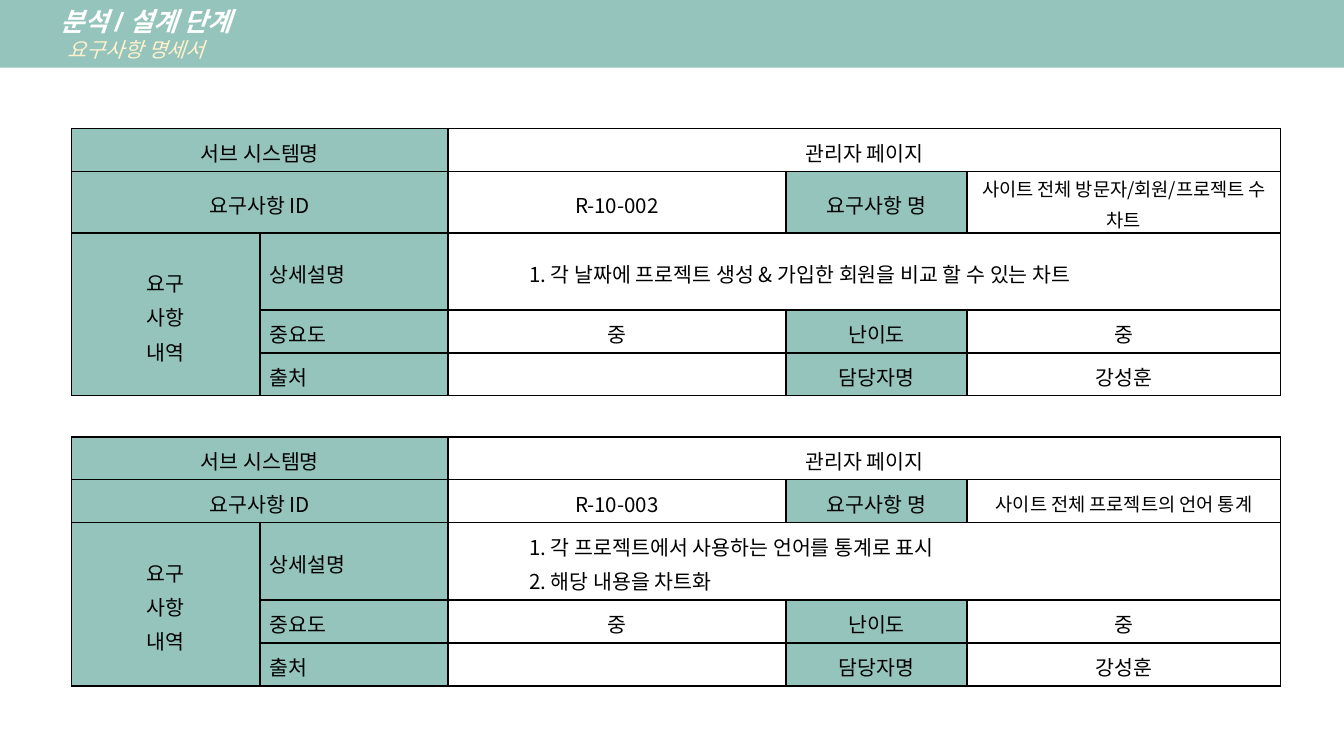
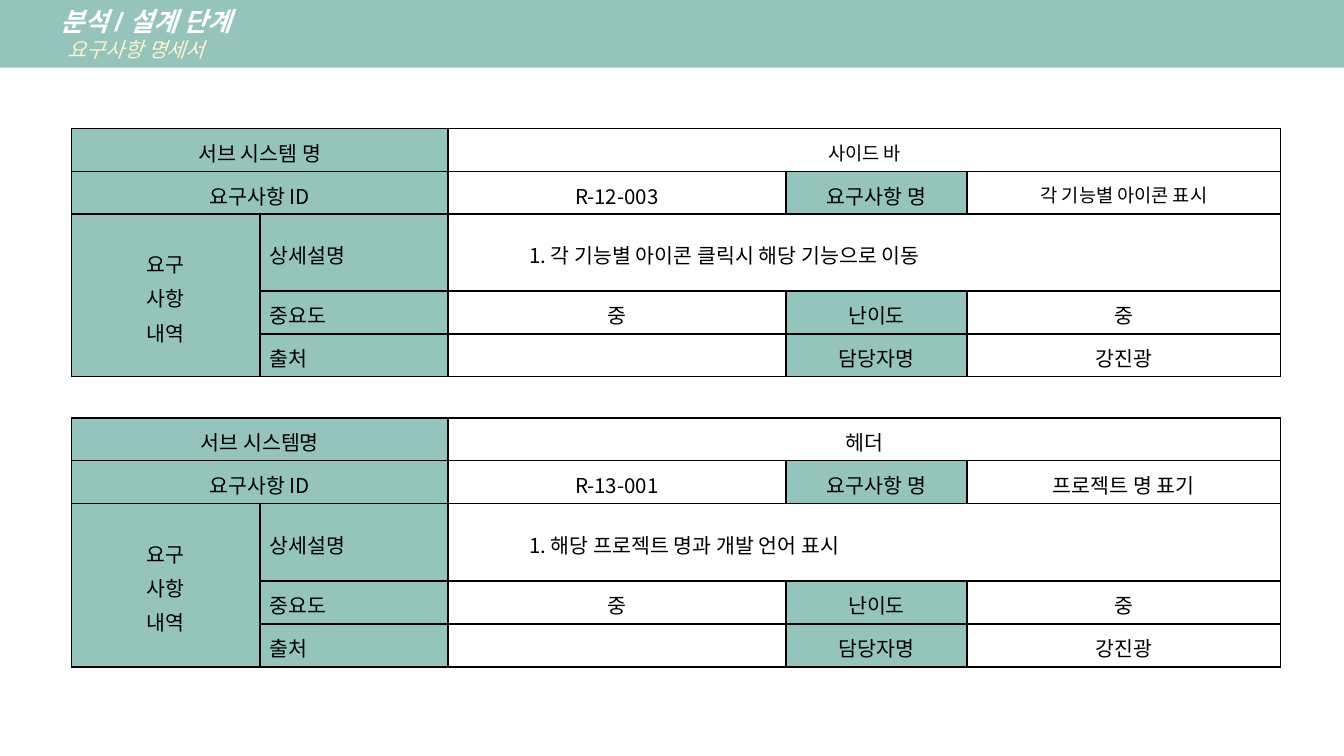
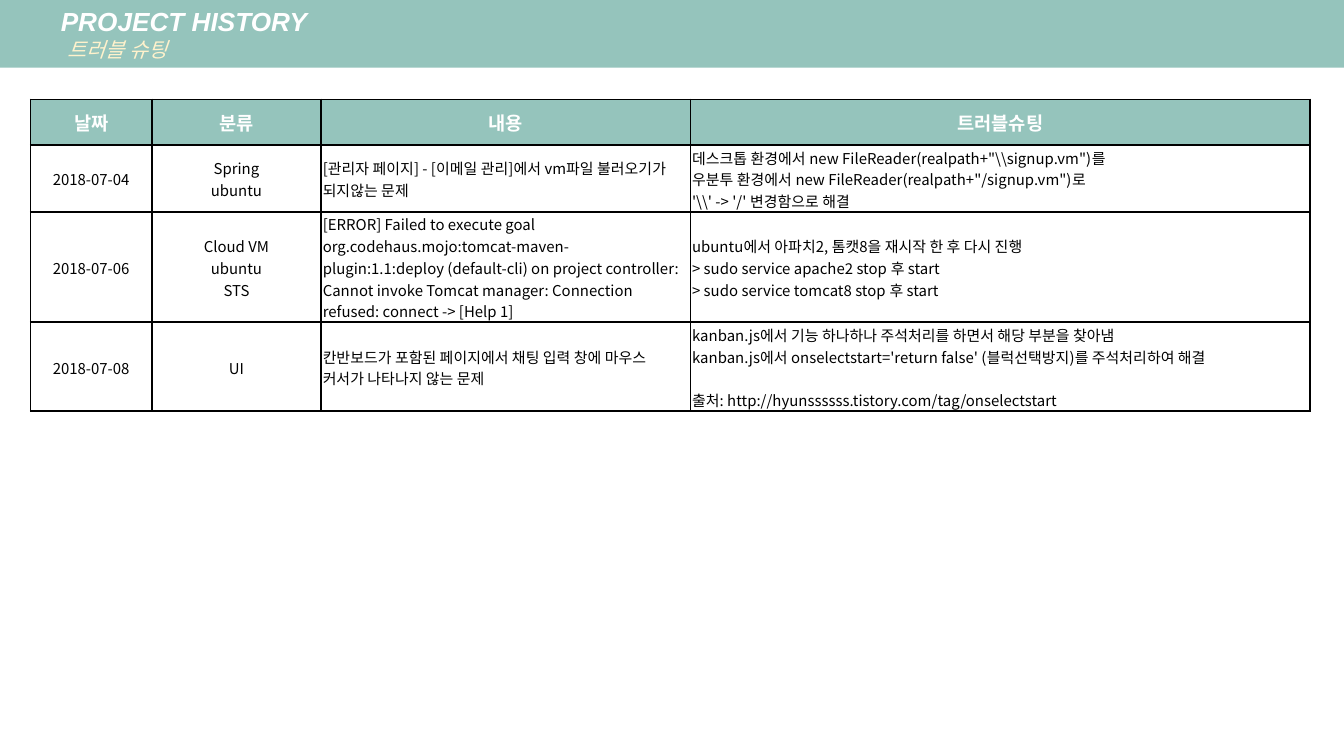
import pptx
import pptx.util
import pptx.dml.color
import pptx.enum.shapes
import pptx.enum.text
import pptx.oxml.ns
from lxml import etree

Cm, Pt = pptx.util.Cm, pptx.util.Pt
ALIGN = pptx.enum.text.PP_ALIGN
MIDDLE = pptx.enum.text.MSO_ANCHOR.MIDDLE

COLORS = {"mint": "95C4BC", "cream": "FFF2CC", "white": "FFFFFF", "black": "000000"}
LATIN, KOREAN = "Arial", "Noto Sans CJK KR"

SPEC_COLS = [3.56, 3.56, 6.38, 3.43, 5.92]
ROW, SPACER = 0.81, 0.76
DETAIL_ROWS = [1.45, 1.47]
SPEC_MARGINS = (0.18, 0, 0.18, 0)  # left, top, right, bottom

HISTORY_COLS = [2.29, 3.2, 6.98, 11.71]
HISTORY_ROWS = [0.86, 0.91, 0.91, 0.91]
HISTORY_MARGINS = (0.03, 0.03, 0.03, 0)


def rgb(name):
    return pptx.dml.color.RGBColor.from_string(COLORS[name])


def add_text(tf, text, first=False, size=11, font=KOREAN, color="black", bold=False,
             italic=False, align=ALIGN.LEFT, spacing=None, before=None, indent=0):
    """Write one paragraph; a newline in the text is a line break."""
    p = tf.paragraphs[0] if first else tf.add_paragraph()
    p.alignment = align
    if spacing:
        p.line_spacing = spacing
    if before:
        p.space_before = Pt(before)
    if indent:
        pPr = p._p.get_or_add_pPr()
        pPr.set("marL", str(Cm(indent)))
        pPr.set("indent", "0")
    for i, line in enumerate(text.split("\n")):
        if i:
            p.add_line_break()
        r = p.add_run()
        r.text = line
        r.font.size, r.font.name = Pt(size), font
        r.font.bold, r.font.italic = bold, italic
        r.font.color.rgb = rgb(color)
        ea = etree.SubElement(r._r.rPr, pptx.oxml.ns.qn("a:ea"))
        ea.set("typeface", KOREAN)


def set_margins(target, margins):
    left, top, right, bottom = (Cm(m) for m in margins)
    target.margin_left, target.margin_top = left, top
    target.margin_right, target.margin_bottom = right, bottom


def set_borders(cell, visible="LRTB"):
    tcPr = cell._tc.get_or_add_tcPr()
    for side in "LRTB":
        ln = etree.SubElement(tcPr, pptx.oxml.ns.qn("a:ln" + side), w=str(Pt(1)))
        if side in visible:
            fill = etree.SubElement(ln, pptx.oxml.ns.qn("a:solidFill"))
            etree.SubElement(fill, pptx.oxml.ns.qn("a:srgbClr"), val=COLORS["black"])
        else:
            etree.SubElement(ln, pptx.oxml.ns.qn("a:noFill"))


def add_table(s, left, top, cols, rows):
    table = s.shapes.add_table(len(rows), len(cols), Cm(left), Cm(top),
                               Cm(sum(cols)), Cm(sum(rows))).table
    table.first_row = table.horz_banding = False
    for column, width in zip(table.columns, cols):
        column.width = Cm(width)
    for row, height in zip(table.rows, rows):
        row.height = Cm(height)
    return table


def style_cell(cell, fill=None, margins=None, borders="LRTB"):
    set_borders(cell, borders)
    cell.vertical_anchor = MIDDLE
    if margins:
        set_margins(cell, margins)
    if fill:
        cell.fill.solid()
        cell.fill.fore_color.rgb = rgb(fill)
    else:
        cell.fill.background()


def add_slide(prs, title, subtitle):
    """Blank slide with the title band."""
    s = prs.slides.add_slide(prs.slide_layouts[6])
    sp = s.shapes.add_shape(pptx.enum.shapes.MSO_SHAPE.RECTANGLE,
                            0, Cm(-0.02), prs.slide_width, Cm(1.3))
    sp.shadow.inherit = False
    sp.fill.solid()
    sp.fill.fore_color.rgb = rgb("mint")
    sp.line.fill.background()
    tf = sp.text_frame
    tf.word_wrap = True
    tf.vertical_anchor = MIDDLE
    set_margins(tf, (0.18, 0.1, 0.18, 0.1))
    add_text(tf, title, first=True, size=14, font=LATIN, color="white",
             bold=True, italic=True, indent=0.97)
    add_text(tf, subtitle, font=LATIN, color="cream", italic=True, indent=1.1)
    return s


def fill_spec(table, top, spec):
    """Fill the five rows of one requirement, starting at row top."""
    label = spec.get("system_label", "서브 시스템명")
    small = spec.get("small", ())
    grid = [
        [label, "", spec["system"], "", ""],
        ["요구사항 ID", "", spec["id"], "요구사항 명", spec["name"]],
        ["요구\n사항\n내역", "상세설명", spec["details"], "", ""],
        ["", "중요도", "중", "난이도", "중"],
        ["", "출처", "", "담당자명", spec["owner"]],
    ]
    merges = [((0, 0), (0, 1)), ((0, 2), (0, 4)), ((1, 0), (1, 1)),
              ((2, 0), (4, 0)), ((2, 2), (2, 4))]
    for start, end in merges:
        table.cell(top + start[0], start[1]).merge(table.cell(top + end[0], end[1]))

    for i, row in enumerate(grid):
        for j, content in enumerate(row):
            cell = table.cell(top + i, j)
            is_label = j < 2 or (j == 3 and i in (1, 3, 4))
            style_cell(cell, "mint" if is_label else None, SPEC_MARGINS)
            if not content:
                continue
            is_detail = isinstance(content, list)
            left = is_detail or (j == 1 and i >= 2)
            for n, line in enumerate(content if is_detail else [content]):
                add_text(cell.text_frame, line, first=n == 0,
                         size=10 if content in small else 11, spacing=1.15,
                         align=ALIGN.LEFT if left else ALIGN.CENTER,
                         indent=1.35 if is_detail else 0)


def add_spec_slide(prs, specs):
    """Two requirements in one table, with an open row between them."""
    s = add_slide(prs, "분석 / 설계 단계", "요구사항 명세서")
    first, second = ([ROW, ROW, detail, ROW, ROW] for detail in DETAIL_ROWS)
    table = add_table(s, 1.35, 2.43, SPEC_COLS, first + [SPACER] + second)
    gap = len(first)
    table.cell(gap, 0).merge(table.cell(gap, len(SPEC_COLS) - 1))
    for j in range(len(SPEC_COLS)):
        style_cell(table.cell(gap, j), margins=SPEC_MARGINS, borders="TB")
    for top, spec in zip((0, gap + 1), specs):
        fill_spec(table, top, spec)


def add_history_slide(prs, header, records):
    s = add_slide(prs, "PROJECT HISTORY", "트러블 슈팅")
    table = add_table(s, 0.58, 1.88, HISTORY_COLS, HISTORY_ROWS)
    for j, title in enumerate(header):
        cell = table.cell(0, j)
        style_cell(cell, "mint")
        add_text(cell.text_frame, title, first=True, size=10, color="white",
                 bold=True, align=ALIGN.CENTER)
    for i, record in enumerate(records, 1):
        for j, content in enumerate(record):
            cell = table.cell(i, j)
            style_cell(cell, margins=HISTORY_MARGINS)
            for n, text in enumerate(content if isinstance(content, list) else [content]):
                add_text(cell.text_frame, text, first=n == 0, size=8,
                         align=ALIGN.CENTER if j < 2 else ALIGN.LEFT,
                         before=11.8 if n else None)


SPEC_PAGES = [
    [
        {"system": "관리자 페이지", "id": "R-10-002", "owner": "강성훈",
         "name": "사이트 전체 방문자/회원/프로젝트 수 차트",
         "small": ["사이트 전체 방문자/회원/프로젝트 수 차트"],
         "details": ["1. 각 날짜에 프로젝트 생성 & 가입한 회원을 비교 할 수 있는 차트"]},
        {"system": "관리자 페이지", "id": "R-10-003", "owner": "강성훈",
         "name": "사이트 전체 프로젝트의 언어 통계",
         "small": ["사이트 전체 프로젝트의 언어 통계"],
         "details": ["1. 각 프로젝트에서 사용하는 언어를 통계로 표시",
                     "2. 해당 내용을 차트화"]},
    ],
    [
        {"system_label": "서브 시스템 명", "system": "사이드 바", "id": "R-12-003",
         "owner": "강진광", "name": "각 기능별 아이콘 표시",
         "small": ["사이드 바", "각 기능별 아이콘 표시"],
         "details": ["1. 각 기능별 아이콘 클릭시 해당 기능으로 이동"]},
        {"system": "헤더", "id": "R-13-001", "owner": "강진광",
         "name": "프로젝트 명 표기",
         "details": ["1. 해당 프로젝트 명과 개발 언어 표시"]},
    ],
]

HISTORY_HEADER = ["날짜", "분류", "내용", "트러블슈팅"]
HISTORY = [
    ["2018-07-04", "Spring\nubuntu",
     "[관리자 페이지] - [이메일 관리]에서 vm파일 불러오기가 되지않는 문제",
     "데스크톱 환경에서 new FileReader(realpath+\"\\\\signup.vm\")를\n"
     "우분투 환경에서 new FileReader(realpath+\"/signup.vm\")로\n"
     "'\\\\' -> '/' 변경함으로 해결"],
    ["2018-07-06", "Cloud VM\nubuntu\nSTS",
     "[ERROR] Failed to execute goal org.codehaus.mojo:tomcat-maven-plugin:1.1:deploy "
     "(default-cli) on project controller: Cannot invoke Tomcat manager: "
     "Connection refused: connect -> [Help 1]",
     "ubuntu에서 아파치2, 톰캣8을 재시작 한 후 다시 진행\n"
     "> sudo service apache2 stop 후 start\n"
     "> sudo service tomcat8 stop 후 start"],
    ["2018-07-08", "UI",
     "칸반보드가 포함된 페이지에서 채팅 입력 창에 마우스 커서가 나타나지 않는 문제",
     ["kanban.js에서 기능 하나하나 주석처리를 하면서 해당 부분을 찾아냄\n"
      "kanban.js에서 onselectstart='return false' (블럭선택방지)를 주석처리하여 해결",
      "출처: http://hyunssssss.tistory.com/tag/onselectstart"]],
]


def main():
    prs = pptx.Presentation()
    prs.slide_width, prs.slide_height = Cm(25.4), Cm(14.29)
    for specs in SPEC_PAGES:
        add_spec_slide(prs, specs)
    add_history_slide(prs, HISTORY_HEADER, HISTORY)
    prs.save("out.pptx")


if __name__ == "__main__":
    main()
